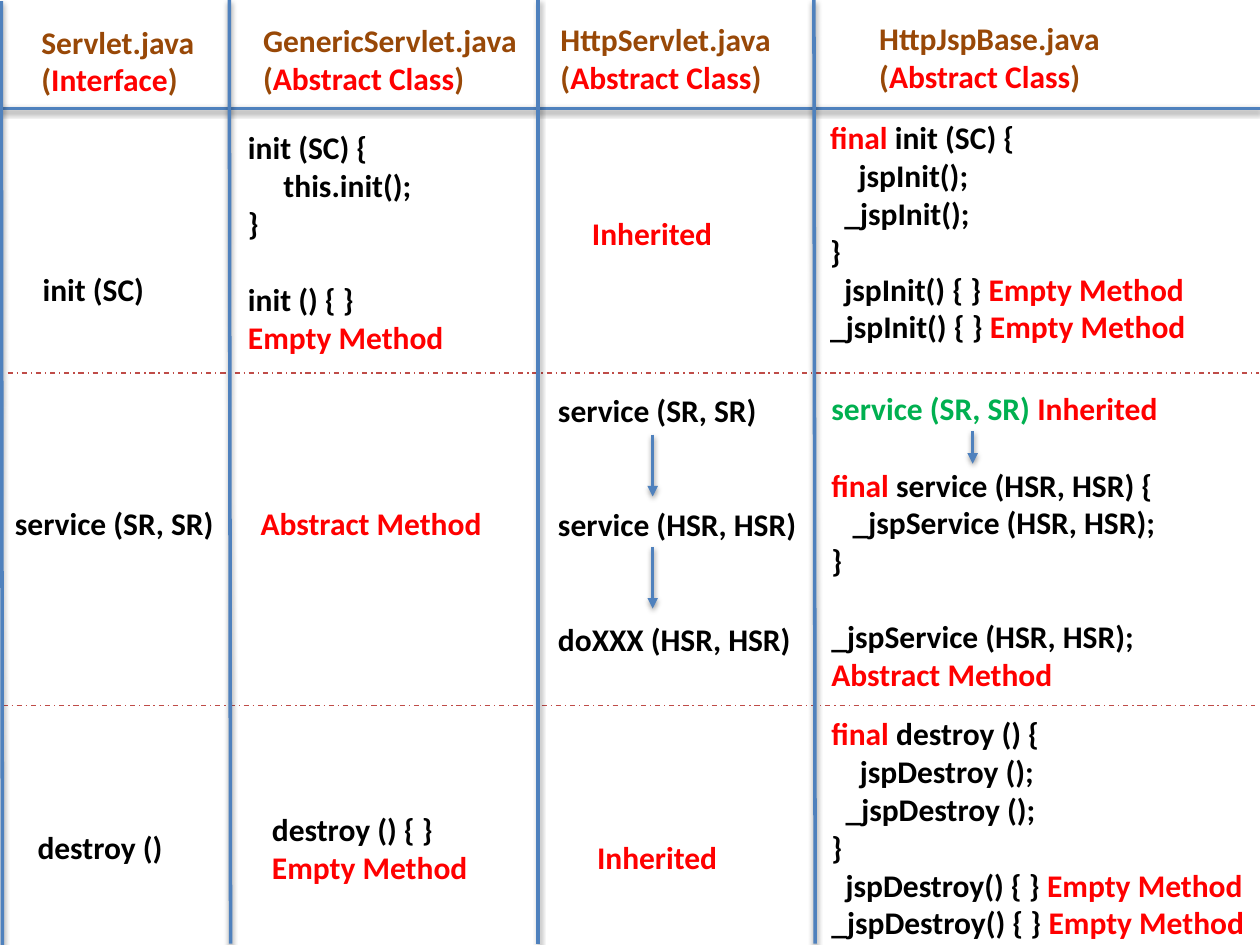
"""Build a slide comparing how the servlet classes implement the life cycle methods."""
from dataclasses import dataclass
from typing import NamedTuple

import pptx
import pptx.dml.color
import pptx.enum.dml
import pptx.enum.shapes
import pptx.enum.text
import pptx.oxml
import pptx.oxml.ns
import pptx.util

Inches = pptx.util.Inches
COLORS = {
    "black": "000000",
    "red": "FF0000",
    "brown": "984807",
    "green": "00B050",
    "blue": "4F81BD",
    "brick": "BF4C48",
}
FONT = {"name": "Calibri", "size": pptx.util.Pt(18), "bold": True}
FRAME = {"auto_size": pptx.enum.text.MSO_AUTO_SIZE.SHAPE_TO_FIT_TEXT}
SOLID = {"width": pptx.util.Pt(2)}
DASHED = {
    "width": pptx.util.Pt(0.75),
    "dash_style": pptx.enum.dml.MSO_LINE.DASH_DOT,
}
LINE_PT = 22
LINE_IN = 0.304
NS = pptx.oxml.ns.nsdecls("a")
SHADOW = (
    f'<a:effectLst {NS}><a:outerShdw blurRad="39370" dist="20320" dir="5400000" '
    f'rotWithShape="0"><a:srgbClr val="{COLORS["black"]}"><a:alpha val="38000"/>'
    "</a:srgbClr></a:outerShdw></a:effectLst>"
)
NO_SHADOW = f"<a:effectLst {NS}/>"
ARROWHEAD = f'<a:tailEnd {NS} type="triangle"/>'


class Run(NamedTuple):
    text: str
    color: str = "black"


@dataclass
class Para:
    runs: list[Run]
    gap: int = 0


@dataclass
class Label:
    x: float
    y: float
    w: float
    paras: list[Para]
    wrap: bool = True


@dataclass
class Rule:
    x1: float
    y1: float
    x2: float
    y2: float
    dashed: bool = False
    arrow: bool = False


def line(text: str, color: str = "black", gap: int = 0) -> Para:
    """Return a paragraph of one colour, set below a gap of whole lines."""
    return Para([Run(text, color)], gap)


def heading(name: str, kind: str) -> list[Para]:
    """Return a class file name with its kind in brackets."""
    return [
        line(name, "brown"),
        Para([Run("(", "brown"), Run(kind, "red"), Run(")", "brown")]),
    ]


def final(text: str, gap: int = 0) -> Para:
    """Return the opening line of a final method."""
    return Para([Run("final", "red"), Run(f" {text} {{")], gap)


def jsp_hooks(signature: str, hook: str, space: str = "") -> list[Para]:
    """Return a final method that calls two empty hook methods."""
    empty = Run("Empty Method", "red")
    return [
        final(signature),
        line(f"    jsp{hook}{space}();"),
        line(f"  _jsp{hook}{space}();"),
        line("}"),
        Para([Run(f"  jsp{hook}() {{ }} "), empty]),
        Para([Run(f"_jsp{hook}() {{ }} "), empty]),
    ]


EMPTY = line("Empty Method", "red")
INHERITED = [line("Inherited", "red")]

LABELS = [
    Label(0.23, 0.13, 1.58, heading("Servlet.java", "Interface")),
    Label(1.99, 0.12, 2.26, heading("GenericServlet.java", "Abstract Class")),
    Label(4.35, 0.11, 1.97, heading("HttpServlet.java", "Abstract Class")),
    Label(6.88, 0.1, 1.97, heading("HttpJspBase.java", "Abstract Class")),
    Label(0.24, 2.09, 1.36, [line("init (SC)")]),
    Label(1.87, 0.97, 2.36, [
        line("init (SC) {"), line("     this.init();"), line("}"),
        line("init () { }", gap=1), EMPTY,
    ]),
    Label(4.6, 1.65, 1.16, INHERITED, wrap=False),
    Label(6.49, 0.89, 3.21, jsp_hooks("init (SC)", "Init")),
    Label(0.02, 3.95, 1.81, [line("service (SR, SR)")]),
    Label(1.97, 3.95, 1.97, [line("Abstract Method", "red")], wrap=False),
    Label(4.33, 3.05, 2.11, [
        line("service (SR, SR)"), line("service (HSR, HSR)", gap=2),
        line("doXXX (HSR, HSR)", gap=2),
    ]),
    Label(6.5, 3.04, 3.12, [
        Para([Run("service (SR, SR) ", "green"), Run("Inherited", "red")]),
        final("service (HSR, HSR)", gap=1),
        line("   _jspService (HSR, HSR);"), line("}"),
        line("_jspService (HSR, HSR);", gap=1), line("Abstract Method", "red"),
    ]),
    Label(0.2, 6.52, 1.36, [line("destroy ()")]),
    Label(2.06, 6.38, 1.78, [line("destroy () { }"), EMPTY]),
    Label(4.64, 6.6, 1.16, INHERITED, wrap=False),
    Label(6.5, 5.62, 3.65, jsp_hooks("destroy ()", "Destroy", " ")),
]
RULES = [
    Rule(0.06, 2.96, 9.99, 2.96, dashed=True),
    Rule(0.02, 5.6, 9.96, 5.6, dashed=True),
    Rule(5.18, 3.45, 5.18, 3.94, arrow=True),
    Rule(5.18, 4.34, 5.18, 4.83, arrow=True),
    Rule(7.72, 3.42, 7.72, 3.68, arrow=True),
    Rule(0, 0.86, 10, 0.86),
    Rule(0.01, 0.01, 0.02, 7.5),
    Rule(6.46, 0, 6.47, 7.49),
    Rule(4.27, 0, 4.27, 7.49),
    Rule(1.82, 0, 1.83, 7.49),
]


def apply(target: object, values: dict) -> None:
    """Set each format value on the target."""
    for name, value in values.items():
        setattr(target, name, value)


def rgb(color: str) -> pptx.dml.color.RGBColor:
    """Return a named colour."""
    return pptx.dml.color.RGBColor.from_string(COLORS[color])


def draw_label(s: pptx.slide.Slide, label: Label) -> None:
    """Draw a text box sized to its lines."""
    rows = sum(1 + para.gap for para in label.paras)
    box = (label.x, label.y, label.w, 0.1 + LINE_IN * rows)
    tf = s.shapes.add_textbox(*map(Inches, box)).text_frame
    apply(tf, FRAME | {"word_wrap": label.wrap})
    for i, para in enumerate(label.paras):
        p = tf.add_paragraph() if i else tf.paragraphs[0]
        if para.gap:
            p.space_before = pptx.util.Pt(LINE_PT * para.gap)
        for run in para.runs:
            r = p.add_run()
            r.text = run.text
            apply(r.font, FONT)
            r.font.color.rgb = rgb(run.color)


def draw_rule(s: pptx.slide.Slide, rule: Rule) -> None:
    """Draw a divider or an arrow."""
    ends = map(Inches, (rule.x1, rule.y1, rule.x2, rule.y2))
    sp = s.shapes.add_connector(pptx.enum.shapes.MSO_CONNECTOR.STRAIGHT, *ends)
    sp.line.color.rgb = rgb("brick" if rule.dashed else "blue")
    apply(sp.line, DASHED if rule.dashed else SOLID)
    if rule.arrow:
        sp.line._get_or_add_ln().append(pptx.oxml.parse_xml(ARROWHEAD))
    effect = NO_SHADOW if rule.dashed else SHADOW
    sp._element.spPr.append(pptx.oxml.parse_xml(effect))


def main() -> None:
    """Build and save the slide."""
    prs = pptx.Presentation()
    apply(prs, {"slide_width": Inches(10), "slide_height": Inches(7.5)})
    s = prs.slides.add_slide(prs.slide_layouts[6])
    for rule in RULES:
        draw_rule(s, rule)
    for label in LABELS:
        draw_label(s, label)
    prs.save("out.pptx")


if __name__ == "__main__":
    main()
